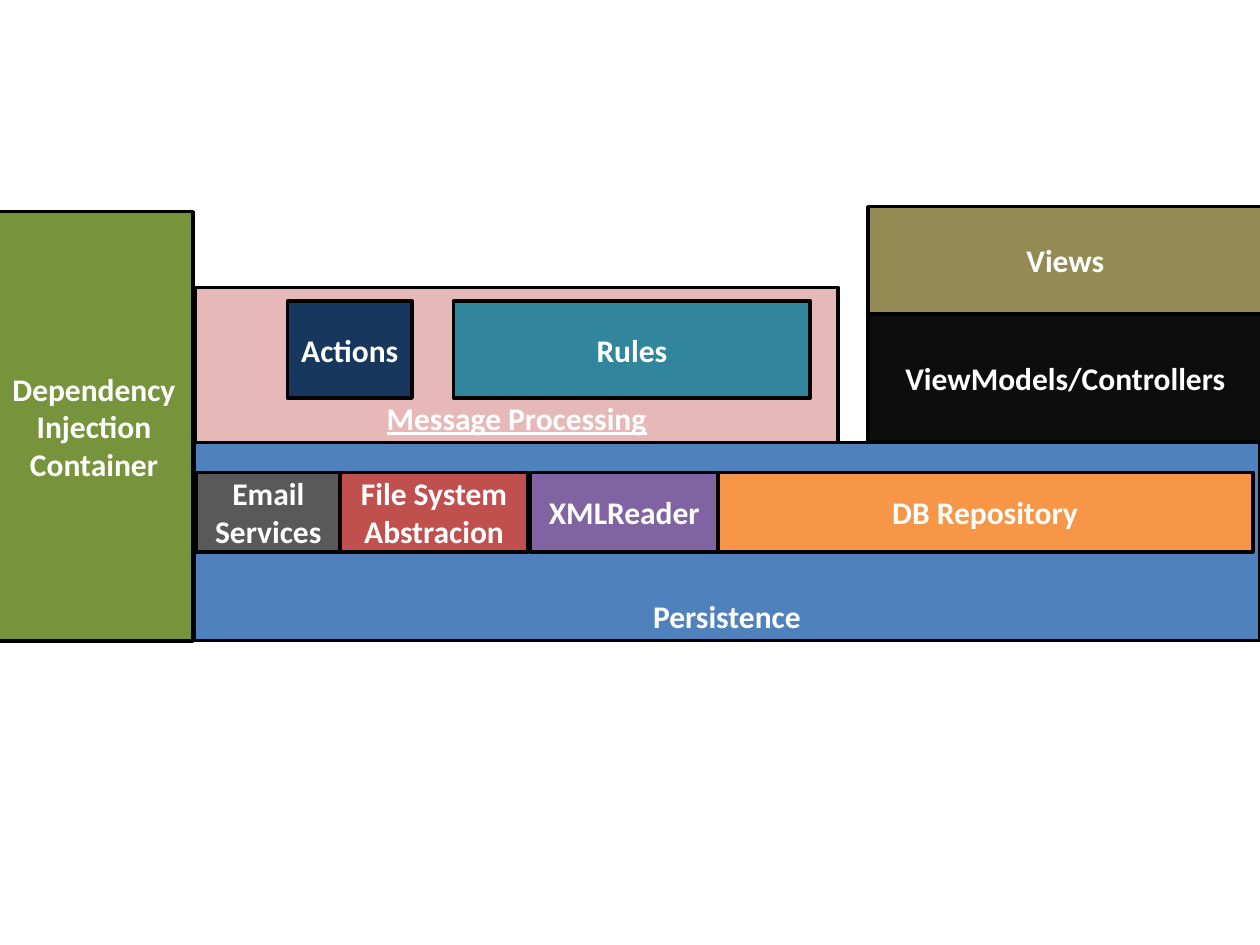
"""Builds a slide with a layered application architecture diagram."""
from pptx import Presentation
from pptx.dml.color import RGBColor
from pptx.enum.shapes import MSO_SHAPE
from pptx.enum.text import MSO_ANCHOR, PP_ALIGN
from pptx.util import Pt

RECTANGLE = MSO_SHAPE.RECTANGLE
MIDDLE, BOTTOM = MSO_ANCHOR.MIDDLE, MSO_ANCHOR.BOTTOM
CENTER = PP_ALIGN.CENTER

WHITE = RGBColor(0xFF, 0xFF, 0xFF)
BLACK = RGBColor(0x00, 0x00, 0x00)
PINK = RGBColor(0xE6, 0xB9, 0xB8)
BLUE = RGBColor(0x4F, 0x81, 0xBD)
GREEN = RGBColor(0x77, 0x93, 0x3C)
ORANGE = RGBColor(0xF7, 0x96, 0x46)
PURPLE = RGBColor(0x80, 0x64, 0xA2)
RED = RGBColor(0xC0, 0x50, 0x4D)
OLIVE = RGBColor(0x94, 0x8A, 0x54)
NEAR_BLACK = RGBColor(0x0D, 0x0D, 0x0D)
TEAL = RGBColor(0x31, 0x85, 0x9C)
NAVY = RGBColor(0x17, 0x37, 0x5E)
GRAY = RGBColor(0x59, 0x59, 0x59)

FONT_FORMAT = {"name": "Calibri", "size": Pt(18), "bold": True}

deck = Presentation()
deck.slide_width, deck.slide_height = Pt(720), Pt(540)
page = deck.slides.add_slide(deck.slide_layouts[6])


def add_block(label, color, left, top, width, height, anchor=MIDDLE, underline=False):
    box = page.shapes.add_shape(RECTANGLE, Pt(left), Pt(top), Pt(width), Pt(height))
    box.shadow.inherit = False
    box.fill.solid()
    box.fill.fore_color.rgb = color
    box.line.color.rgb = BLACK
    box.line.width = Pt(2)
    frame = box.text_frame
    frame.word_wrap = True
    frame.vertical_anchor = anchor
    para = frame.paragraphs[0]
    para.alignment = CENTER
    span = para.add_run()
    span.text = label
    for name, value in FONT_FORMAT.items():
        setattr(span.font, name, value)
    span.font.underline = underline
    span.font.color.rgb = WHITE


add_block("Message Processing", PINK, 111.6, 164.2, 367.2, 89, BOTTOM, True)
add_block("Persistence", BLUE, 110.9, 252.9, 609.1, 113.2, BOTTOM)
add_block("Dependency Injection Container", GREEN, -2.9, 121, 113.2, 245.3)

SERVICE_TOP, SERVICE_HEIGHT = 270, 45.4
for label, color, left, width in (
    ("DB Repository", ORANGE, 409.9, 306),
    ("XMLReader", PURPLE, 303.1, 107.3),
    ("File System Abstracion", RED, 194.4, 107.3),
    ("Email Services", GRAY, 112.3, 82.1),
):
    add_block(label, color, left, SERVICE_TOP, width, SERVICE_HEIGHT)

SCREEN_LEFT, SCREEN_WIDTH = 496.1, 225.4
for label, color, top, height in (
    ("Views", OLIVE, 118.1, 61.2),
    ("ViewModels/Controllers", NEAR_BLACK, 179.3, 73.4),
):
    add_block(label, color, SCREEN_LEFT, top, SCREEN_WIDTH, height)

HANDLER_TOP, HANDLER_HEIGHT = 172.1, 55.4
for label, color, left, width in (
    ("Rules", TEAL, 259.2, 203.8),
    ("Actions", NAVY, 164.2, 71.3),
):
    add_block(label, color, left, HANDLER_TOP, width, HANDLER_HEIGHT)

deck.save("out.pptx")
